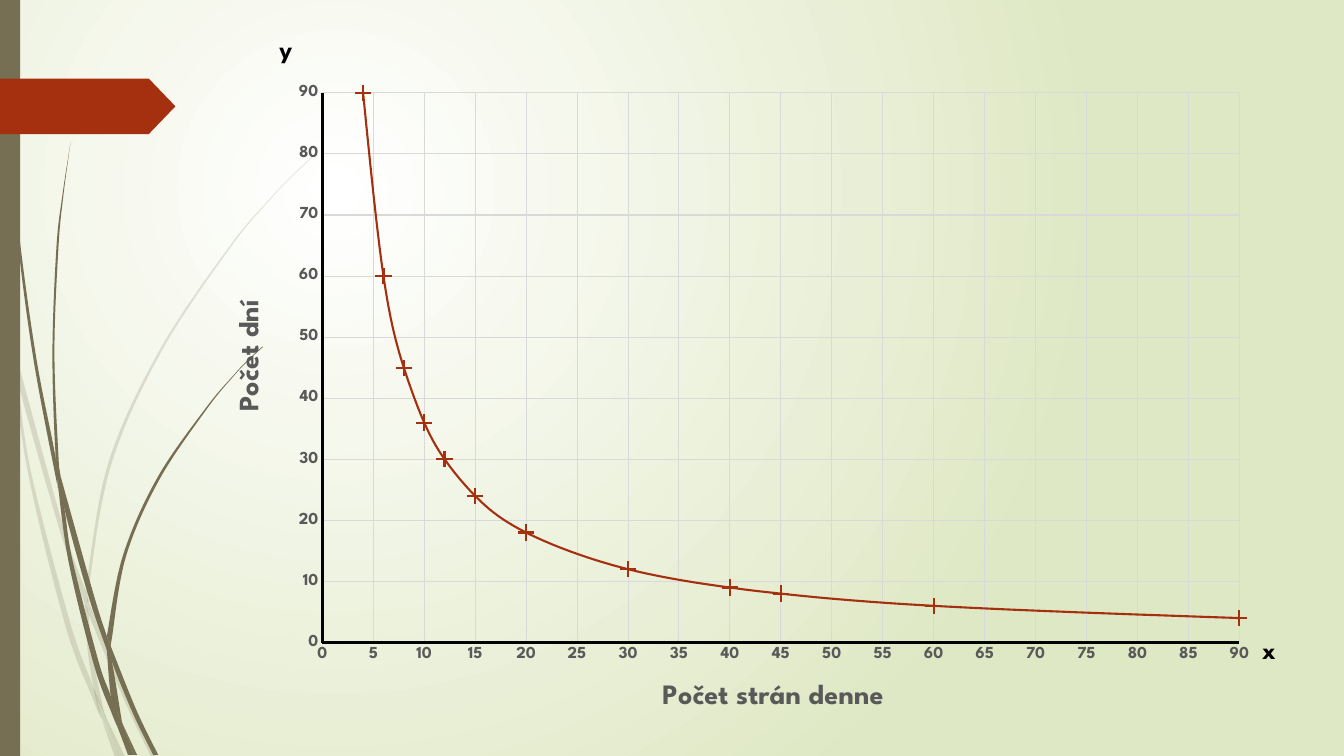
from lxml.etree import SubElement as Sub
from pptx import Presentation
from pptx.chart.data import XyChartData
from pptx.dml.color import RGBColor
from pptx.enum.chart import XL_CHART_TYPE as ChartType
from pptx.enum.chart import XL_MARKER_STYLE as Marker
from pptx.enum.chart import XL_TICK_MARK as Tick
from pptx.enum.shapes import MSO_SHAPE as Preset
from pptx.enum.text import MSO_AUTO_SIZE as AutoSize
from pptx.enum.text import PP_ALIGN as Align
from pptx.oxml import parse_xml
from pptx.oxml.ns import nsdecls, qn
from pptx.util import Inches, Pt

COLORS = {
    "black": "000000",
    "label": "595959",
    "grid": "D9D9D9",
    "rust": "A53010",
    "olive": "766F54",
    "white": "FFFFFF",
    "lime": "DFE8C4",
}
FONT = "League Spartan"
CELL = Inches(0.01)
FINE = 100
COLUMNS, ROWS = 1333, 750
CHART_BOX = (193, 25, 1065, 700)

PAGES_PER_DAY = [4, 6, 8, 10, 12, 15, 20, 30, 40, 45, 60, 90]
DAYS = [90, 60, 45, 36, 30, 24, 18, 12, 9, 8, 6, 4]

PALE_BLADES = [
    ([(0, 282), (9, 322), (11, 350)], [(0, 299), (10, 344), (11, 350)]),
    ([(14, 345), (62, 520), (85, 586)], [(14, 345), (17, 376), (58, 522), (84, 599)]),
    ([(88, 596), (92, 607), (127, 692), (155, 751)], [(88, 610), (123, 694), (150, 751)]),
    ([(105, 711), (124, 751)], [(105, 711), (119, 751)]),
    ([(11, 350), (17, 376), (31, 469), (70, 619), (93, 683), (101, 714)],
     [(11, 350), (28, 470), (65, 621), (92, 693), (101, 714)]),
    ([(84, 599), (88, 610), (91, 646), (103, 706), (105, 711)],
     [(84, 599), (87, 646), (93, 683), (96, 692), (105, 711)]),
    ([(312, 153), (289, 175), (268, 197), (228, 244), (158, 348), (107, 461), (85, 586)],
     [(312, 154), (290, 175), (268, 198), (229, 245), (160, 349), (110, 462), (88, 584),
      (88, 596)]),
    ([(101, 714), (114, 751)], [(101, 714), (119, 751)]),
    ([(85, 586), (84, 599)], [(88, 596), (88, 610)]),
    ([(93, 683), (99, 707), (119, 751)], [(93, 683), (105, 711), (119, 751)]),
]
DARK_BLADES = [
    ([(3, 0), (7, 110), (17, 233), (33, 355), (56, 477), (57, 481)],
     [(4, 0), (8, 109), (19, 232), (36, 355), (55, 453), (57, 481)]),
    ([(60, 472), (93, 590), (106, 631)], [(60, 472), (64, 505), (88, 592), (106, 645)]),
    ([(110, 641), (113, 649), (136, 706), (157, 749)],
     [(110, 641), (111, 656), (132, 708), (152, 749)]),
    ([(57, 477), (64, 505), (72, 556), (98, 657), (110, 691), (117, 722)],
     [(57, 477), (68, 557), (93, 659), (111, 708), (117, 722)]),
    ([(70, 141), (63, 193), (58, 245), (54, 349), (58, 453), (60, 472)],
     [(70, 141), (62, 193), (56, 245), (52, 349), (55, 449), (60, 472)]),
    ([(122, 719), (136, 749)], [(122, 719), (133, 749)]),
    ([(55, 449), (60, 472), (64, 505)], [(55, 449), (57, 477), (64, 505)]),
    ([(260, 344), (245, 358), (231, 373), (204, 405), (156, 474), (122, 551), (106, 631)],
     [(261, 344), (245, 359), (231, 374), (205, 406), (158, 476), (125, 552), (111, 633),
      (110, 641)]),
    ([(117, 722), (127, 749)], [(117, 722), (131, 749)]),
    ([(106, 645), (111, 656), (121, 716), (122, 719)],
     [(106, 645), (110, 691), (116, 706), (122, 719)]),
    ([(106, 631), (106, 645)], [(110, 641), (111, 656)]),
    ([(110, 691), (116, 706), (122, 719), (133, 749)],
     [(110, 691), (117, 722), (130, 749)]),
]


def rgb(name):
    return RGBColor.from_string(COLORS[name])


def cells(*counts):
    return [count * CELL for count in counts]


def style_font(font, size, color):
    font.name = FONT
    font.size = Pt(size)
    font.bold = True
    font.color.rgb = rgb(color)


def style_line(line, color, width):
    line.color.rgb = rgb(color)
    line.width = Pt(width)


def fill_plain(shape, color, opacity=100):
    shape.shadow.inherit = False
    shape.fill.solid()
    shape.fill.fore_color.rgb = rgb(color)
    shape.line.fill.background()
    if opacity < 100:
        tint = shape._element.spPr.find(f"{qn('a:solidFill')}/{qn('a:srgbClr')}")
        Sub(tint, qn("a:alpha"), val=str(opacity * 1000))


def paint_background(slide):
    slide.background.fill.solid()
    properties = slide._element.cSld.find(f"{qn('p:bg')}/{qn('p:bgPr')}")
    gradient = parse_xml(
        f'<a:gradFill {nsdecls("a")} rotWithShape="1"><a:gsLst>'
        f'<a:gs pos="0"><a:srgbClr val="{COLORS["white"]}"/></a:gs>'
        f'<a:gs pos="100000"><a:srgbClr val="{COLORS["lime"]}"/></a:gs></a:gsLst>'
        '<a:path path="circle"><a:fillToRect l="50000" t="50000" r="100000" b="100000"/>'
        '</a:path></a:gradFill>')
    properties.replace(properties.find(qn("a:solidFill")), gradient)


def bend_edges(blade, turn):
    knots = [(int(pt.get("x")), int(pt.get("y"))) for pt in blade._element.iter(qn("a:pt"))]
    for i, straight in enumerate(list(blade._element.iter(qn("a:lnTo"))), 1):
        if i == turn or i >= len(knots):
            continue
        first, last = (0, turn - 1) if i < turn else (turn, len(knots) - 1)
        before, start, end, after = (
            knots[min(max(k, first), last)] for k in range(i - 2, i + 2))
        leave = [s + (e - b) / 6 for b, s, e in zip(before, start, end)]
        arrive = [e - (a - s) / 6 for s, e, a in zip(start, end, after)]
        curve = parse_xml(f'<a:cubicBezTo {nsdecls("a")}/>')
        for x, y in (leave, arrive, end):
            Sub(curve, qn("a:pt"), x=str(round(x)), y=str(round(y)))
        straight.getparent().replace(straight, curve)


def add_blade(slide, near_edge, far_edge, opacity):
    outline = [(x * FINE, y * FINE) for x, y in near_edge + far_edge[::-1]]
    builder = slide.shapes.build_freeform(*outline[0], scale=CELL / FINE)
    builder.add_line_segments(outline[1:], close=True)
    blade = builder.convert_to_shape()
    bend_edges(blade, len(near_edge))
    fill_plain(blade, "olive", opacity)


def add_block(slide, preset, box, color):
    block = slide.shapes.add_shape(preset, *cells(*box))
    fill_plain(block, color)
    return block


def add_letter(slide, letter, box):
    frame = slide.shapes.add_textbox(*cells(*box)).text_frame
    frame.word_wrap = True
    frame.auto_size = AutoSize.SHAPE_TO_FIT_TEXT
    paragraph = frame.paragraphs[0]
    paragraph.text = letter
    paragraph.alignment = Align.CENTER
    style_font(paragraph.font, 18, "black")


def place(element, index, **permille):
    for old in element.findall(qn("c:layout")):
        element.remove(old)
    layout = parse_xml(f'<c:layout {nsdecls("c")}><c:manualLayout/></c:layout>')
    if "w" in permille:
        Sub(layout[0], qn("c:layoutTarget"), val="inner")
    for mode in ("xMode", "yMode"):
        Sub(layout[0], qn(f"c:{mode}"), val="edge")
    for side, share in permille.items():
        Sub(layout[0], qn(f"c:{side}"), val=str(share / 1000))
    element.insert(index, layout)


def style_axis(axis, title, step, x, y):
    axis.maximum_scale, axis.major_unit = 90, step
    axis.major_tick_mark = axis.minor_tick_mark = Tick.NONE
    axis.has_major_gridlines = True
    style_line(axis.major_gridlines.format.line, "grid", 0.75)
    style_line(axis.format.line, "black", 2.5)
    style_font(axis.tick_labels.font, 12, "label")
    paragraph = axis.axis_title.text_frame.paragraphs[0]
    paragraph.text = title
    style_font(paragraph.font, 20, "label")
    place(axis.axis_title._element, 1, x=x, y=y)


def add_reading_chart(slide):
    data = XyChartData()
    points = data.add_series("Series 1")
    for pages, days in zip(PAGES_PER_DAY, DAYS):
        points.add_data_point(pages, days)
    chart = slide.shapes.add_chart(
        ChartType.XY_SCATTER_SMOOTH, *cells(*CHART_BOX), data).chart
    chart.has_legend = chart.has_title = False
    chart.font.name = FONT
    chart.font.size = Pt(10)
    chart.font.color.rgb = rgb("black")
    chart.plots[0].vary_by_categories = False

    curve = chart.plots[0].series[0]
    curve._element.get_or_add_smooth().val = True
    style_line(curve.format.line, "rust", 1.5)
    curve.marker.style = Marker.PLUS
    curve.marker.size = 11
    curve.marker.format.fill.background()
    style_line(curve.marker.format.line, "rust", 1.5)

    style_axis(chart.category_axis, "Počet strán denne", 5, 431, 923)
    style_axis(chart.value_axis, "Počet dní", 10, 33, 383)
    chart_area = chart._chartSpace.find(qn("c:chart"))
    place(chart_area.find(qn("c:plotArea")), 0, x=119, y=96, w=854, h=779)
    chart_area.addnext(parse_xml(
        f'<c:spPr {nsdecls("c", "a")}><a:noFill/><a:ln><a:noFill/></a:ln></c:spPr>'))


def main():
    deck = Presentation()
    deck.slide_width, deck.slide_height = cells(COLUMNS, ROWS)
    slide = deck.slides.add_slide(deck.slide_layouts[6])
    paint_background(slide)
    for blades, opacity in ((PALE_BLADES, 20), (DARK_BLADES, 100)):
        for near_edge, far_edge in blades:
            add_blade(slide, near_edge, far_edge, opacity)
    add_block(slide, Preset.RECTANGLE, (0, 0, 20, ROWS), "olive")
    tag = add_block(slide, Preset.PENTAGON, (0, 78, 174, 55), "rust")
    tag.adjustments[0] = 0.48
    add_reading_chart(slide)
    add_letter(slide, "x", (1230, 624, 57, 40))
    add_letter(slide, "y", (255, 28, 57, 40))
    deck.save("out.pptx")


if __name__ == "__main__":
    main()
